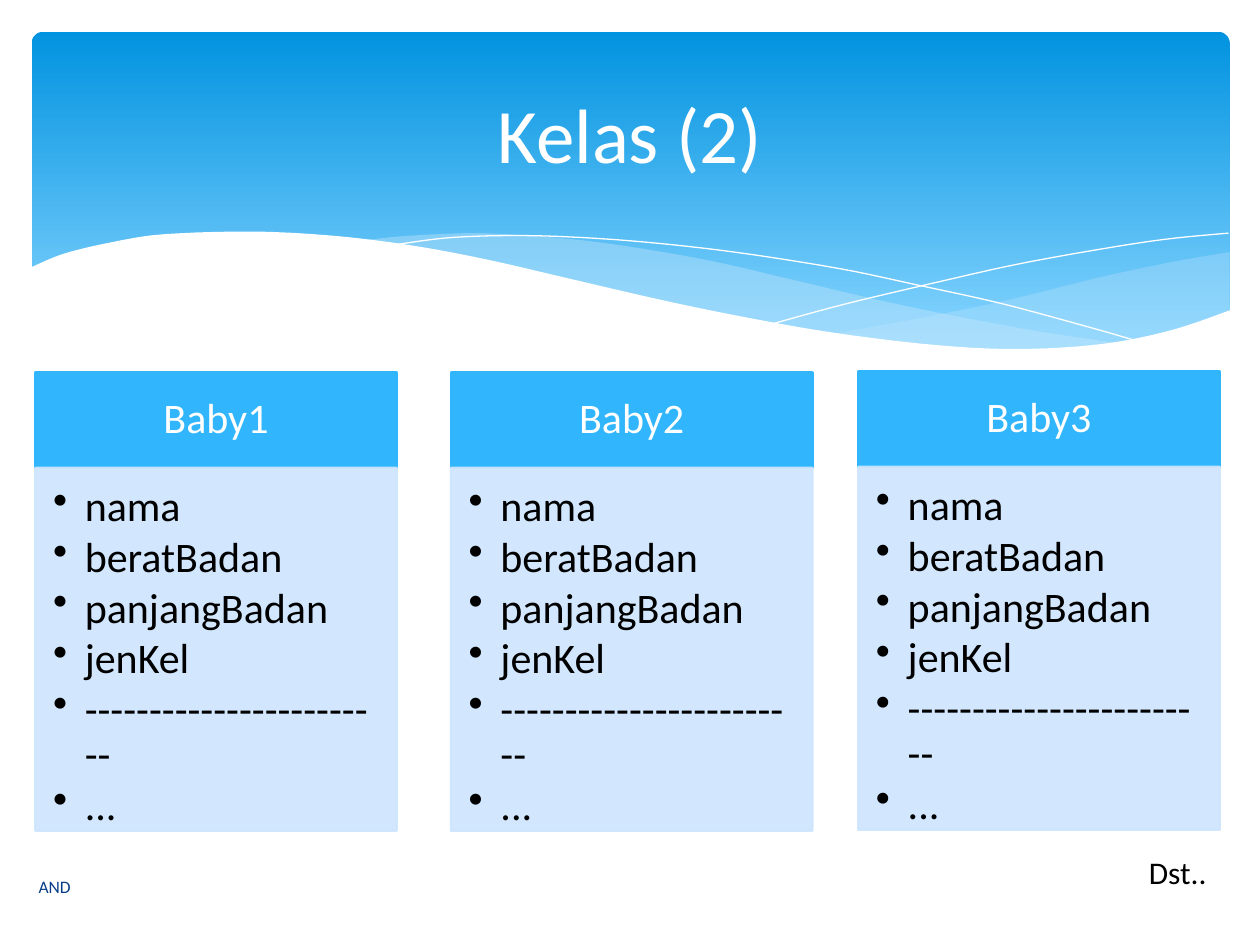
from dataclasses import dataclass

import pptx
import pptx.dml.color
import pptx.enum.shapes
import pptx.enum.text
import pptx.oxml
import pptx.oxml.ns
import pptx.util
from pptx.util import Cm, Pt

COLORS = {
    "sky_top": "0293E0",
    "sky_bottom": "83D3FE",
    "wave": "C6E7FC",
    "white": "FFFFFF",
    "header": "31B6FD",
    "body": "CEE5FE",
    "footer": "073E87",
    "text": "000000",
}
FONT = "Calibri"
WAVE_UNIT = Cm(0.0254)  # wave points are hundredths of an inch
SHAPES = pptx.enum.shapes.MSO_SHAPE
ALIGN = pptx.enum.text.PP_ALIGN
ANCHOR = pptx.enum.text.MSO_ANCHOR

Points = list[tuple[float, float]]


@dataclass
class Wave:
    curves: list[Points]  # each is smoothed, then all are joined by straight lines
    color: str
    opacity: int = 100
    filled: bool = True


@dataclass
class Card:
    name: str
    left: float
    top: float = 7.51


WAVES = [
    Wave([[(976, 200), (935, 207), (891, 216), (861, 223), (805, 237), (753, 248), (706, 257), (661, 265)],
          [(661, 265), (705, 271), (757, 276), (803, 278), (844, 277), (889, 272), (928, 263), (976, 247)]],
         "wave", 29),
    Wave([[(893, 273), (837, 265), (775, 254), (706, 240), (629, 222), (569, 208), (514, 198), (465, 191),
           (420, 187), (380, 185), (344, 186), (313, 188), (286, 191)],
          [(286, 191), (342, 199), (404, 211), (449, 222), (530, 240), (601, 255), (665, 266), (722, 274),
           (773, 277), (818, 278), (857, 277), (893, 273)]],
         "wave", 40),
    Wave([[(309, 195), (353, 189), (401, 187), (450, 188), (510, 192), (582, 200), (665, 213), (727, 226),
           (795, 241), (869, 261), (907, 272)]], "white", filled=False),
    Wave([[(613, 257), (672, 241), (748, 223), (806, 210), (866, 199), (924, 190), (975, 185)]],
         "white", filled=False),
    Wave([[(977, 246), (930, 262), (875, 273), (809, 277), (744, 274), (668, 265), (603, 254), (529, 239),
           (447, 220), (391, 207), (340, 197), (292, 190), (250, 186), (211, 184), (177, 184), (146, 185),
           (119, 187), (95, 191), (67, 197), (46, 203), (23, 213)],
          [(23, 329), (977, 329)]],
         "white"),
]
CARDS = [Card("Baby1", 0.71), Card("Baby2", 9.09), Card("Baby3", 17.3, 7.49)]
ATTRIBUTES = ["nama", "beratBadan", "panjangBadan", "jenKel", "-" * 24, "..."]
CARD_WIDTH, HEADER_HEIGHT, BODY_HEIGHT = 7.29, 1.92, 7.32


def rgb(name: str) -> pptx.dml.color.RGBColor:
    return pptx.dml.color.RGBColor.from_string(COLORS[name])


def set_solid(fill, color: str, opacity: int = 100) -> None:
    fill.solid()
    fill.fore_color.rgb = rgb(color)
    if opacity < 100:
        element = fill._xPr.find(".//" + pptx.oxml.ns.qn("a:srgbClr"))
        alpha = pptx.oxml.parse_xml(f'<a:alpha {pptx.oxml.ns.nsdecls("a")} val="{opacity * 1000}"/>')
        element.append(alpha)


def set_font(paragraph, size: float, color: str) -> None:
    paragraph.font.name = FONT
    paragraph.font.size = Pt(size)
    paragraph.font.color.rgb = rgb(color)


def smooth(points: Points, steps: int = 6) -> Points:
    """Points of a Catmull-Rom curve through the given ones."""
    if len(points) < 3:
        return points
    padded = [points[0], *points, points[-1]]
    result = [points[0]]
    for before, start, end, after in zip(padded, padded[1:], padded[2:], padded[3:]):
        for step in range(1, steps + 1):
            t = step / steps
            result.append(tuple(
                b + (c - a) * t / 2 + (a - 2.5 * b + 2 * c - d / 2) * t**2
                + (1.5 * (b - c) + (d - a) / 2) * t**3
                for a, b, c, d in zip(before, start, end, after)))
    return result


def draw_wave(slide, wave: Wave) -> None:
    points = [(round(x * WAVE_UNIT), round(y * WAVE_UNIT))
              for curve in wave.curves for x, y in smooth(curve)]
    builder = slide.shapes.build_freeform(*points[0])
    builder.add_line_segments(points[1:], close=wave.filled)
    shape = builder.convert_to_shape()
    shape.shadow.inherit = False
    if wave.filled:
        set_solid(shape.fill, wave.color, wave.opacity)
        shape.line.fill.background()
    else:
        shape.fill.background()
        set_solid(shape.line.fill, wave.color)
        shape.line.width = Pt(0)


def draw_banner(slide) -> None:
    banner = slide.shapes.add_shape(SHAPES.ROUNDED_RECTANGLE, Cm(0.64), Cm(0.64), Cm(24.15), Cm(6.86))
    banner.adjustments[0] = 0.034
    banner.shadow.inherit = False
    banner.line.fill.background()
    banner.fill.gradient()
    banner.fill.gradient_angle = 270
    stops = zip(banner.fill.gradient_stops, [("sky_top", 0), ("sky_bottom", 0.9)])
    for stop, (color, position) in stops:
        stop.color.rgb = rgb(color)
        stop.position = position


def add_panel(slide, card: Card, top: float, height: float, color: str, opacity: int, margins: tuple):
    panel = slide.shapes.add_shape(SHAPES.RECTANGLE, Cm(card.left), Cm(top), Cm(CARD_WIDTH), Cm(height))
    panel.shadow.inherit = False
    set_solid(panel.fill, color, opacity)
    set_solid(panel.line.fill, color, opacity)
    panel.line.width = Pt(1.25)
    frame = panel.text_frame
    frame.word_wrap = True
    frame.margin_left, frame.margin_top, frame.margin_right, frame.margin_bottom = map(Cm, margins)
    return frame


def add_bullet(paragraph) -> None:
    properties = paragraph._p.get_or_add_pPr()
    properties.set("marL", str(Cm(0.64)))
    properties.set("indent", str(-Cm(0.64)))
    properties.append(pptx.oxml.parse_xml(f'<a:buChar {pptx.oxml.ns.nsdecls("a")} char="•"/>'))


def draw_card(slide, card: Card) -> None:
    header = add_panel(slide, card, card.top, HEADER_HEIGHT, "header", 100, (0.48, 0.28, 0.48, 0.28))
    header.vertical_anchor = ANCHOR.MIDDLE
    title = header.paragraphs[0]
    title.text = card.name
    title.alignment = ALIGN.CENTER
    title.line_spacing = 0.9
    set_font(title, 24, "white")

    body = add_panel(slide, card, card.top + HEADER_HEIGHT, BODY_HEIGHT, "body", 90, (0.36, 0.36, 0.48, 0.53))
    body.vertical_anchor = ANCHOR.TOP
    for index, attribute in enumerate(ATTRIBUTES):
        paragraph = body.add_paragraph() if index else body.paragraphs[0]
        paragraph.text = attribute
        add_bullet(paragraph)
        paragraph.alignment = ALIGN.LEFT
        paragraph.line_spacing = 0.9
        paragraph.space_after = Pt(3)
        set_font(paragraph, 24, "text")


def add_label(slide, text: str, box: tuple, size: float, color: str, wrap: bool) -> None:
    frame = slide.shapes.add_textbox(*map(Cm, box)).text_frame
    frame.word_wrap = wrap
    frame.vertical_anchor = ANCHOR.MIDDLE
    frame.paragraphs[0].text = text
    set_font(frame.paragraphs[0], size, color)


def main() -> None:
    presentation = pptx.Presentation()
    presentation.slide_width, presentation.slide_height = Cm(25.4), Cm(19.05)
    slide = presentation.slides.add_slide(presentation.slide_layouts[5])

    # Backdrop
    draw_banner(slide)
    for wave in WAVES:
        draw_wave(slide, wave)

    # Title, raised above the backdrop
    title = slide.shapes.title
    title.left, title.top, title.width, title.height = map(Cm, (1.27, 0.94, 22.86, 3.48))
    title.text_frame.vertical_anchor = ANCHOR.MIDDLE
    title.text_frame.text = "Kelas (2)"
    title.text_frame.paragraphs[0].alignment = ALIGN.CENTER
    set_font(title.text_frame.paragraphs[0], 44, "white")
    slide.shapes._spTree.append(title._element)

    # Object cards and labels
    for card in CARDS:
        draw_card(slide, card)
    add_label(slide, "AND", (0.53, 17.37, 10.52, 1.02), 10, "footer", True)
    add_label(slide, "Dst..", (22.91, 17.07, 1.75, 1.02), 18, "text", False)

    presentation.save("out.pptx")


if __name__ == "__main__":
    main()
